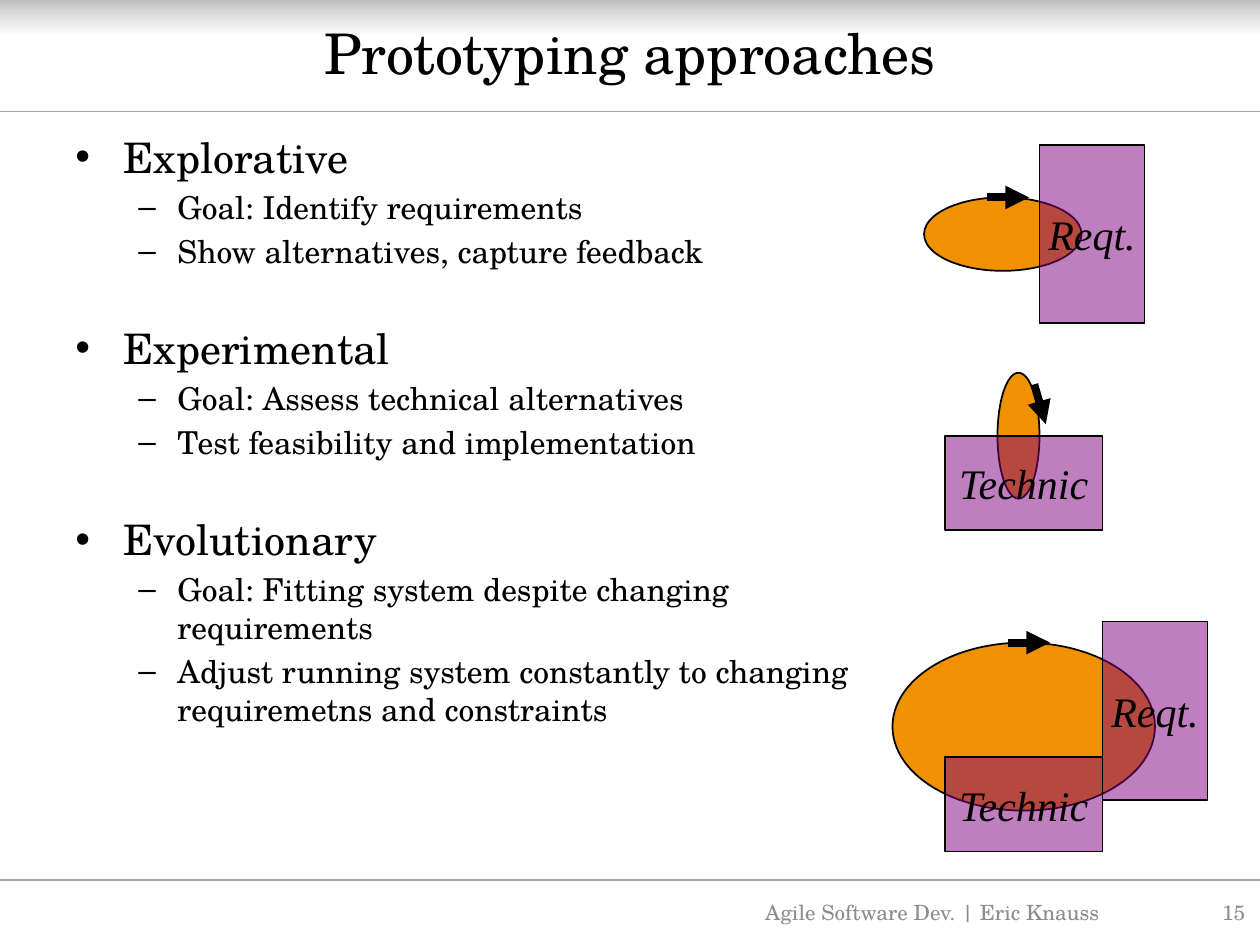
from copy import deepcopy
from dataclasses import dataclass
from typing import Optional

from lxml.etree import SubElement
from pptx import Presentation
from pptx.dml.color import RGBColor
from pptx.enum.shapes import MSO_CONNECTOR, MSO_SHAPE
from pptx.enum.text import MSO_ANCHOR, PP_ALIGN
from pptx.oxml.ns import qn
from pptx.util import Inches, Pt

HUES = {
    "ink": "000000", "grey": "8C8C8C", "rule": "A6A6A6",
    "orange": "EF9100", "purple": "800080",
    "dark": "BFBFBF", "mid": "D9D9D9", "white": "FFFFFF",
}
SERIF = "TeX Gyre Schola"
TIMES = "Times New Roman"
COLS, ROWS = 120, 90
WIDE, HIGH = Inches(10), Inches(7.5)


@dataclass
class Box:
    x: float
    y: float
    w: float
    h: float
    label: Optional[str] = None


@dataclass
class Line:
    x: float
    y: float
    to_x: float
    to_y: float


@dataclass
class Sketch:
    oval: Box
    blocks: list[Box]
    arrow: Line


@dataclass
class Topic:
    name: str
    points: list[str]


TOPICS = [
    Topic("Explorative", ["Goal: Identify requirements",
                          "Show alternatives, capture feedback"]),
    Topic("Experimental", ["Goal: Assess technical alternatives",
                           "Test feasibility and implementation"]),
    Topic("Evolutionary", [
        "Goal: Fitting system despite changing requirements",
        "Adjust running system constantly to changing requiremetns and constraints"]),
]
SKETCHES = [
    Sketch(Box(88, 18.8, 15, 7), [Box(99, 13.8, 10, 17, "Reqt.")],
           Line(94, 18.8, 98, 18.8)),
    Sketch(Box(95, 35.5, 4, 12), [Box(90, 41.5, 15, 9, "Technic")],
           Line(98.5, 36.6, 99.6, 40.4)),
    Sketch(Box(85, 61.2, 25, 16),
           [Box(90, 72.1, 15, 9, "Technic"), Box(105, 59.2, 10, 17, "Reqt.")],
           Line(96, 61.2, 100, 61.2)),
]


def hue(name: str) -> RGBColor:
    return RGBColor.from_string(HUES[name])


def across(cols: float) -> int:
    return round(WIDE * cols / COLS)


def down(rows: float) -> int:
    return round(HIGH * rows / ROWS)


def frame(box: Box) -> tuple:
    return across(box.x), down(box.y), across(box.w), down(box.h)


def write(para, text: str, *, size: float, font: str = SERIF, tint: str = "ink",
          slant: bool = False, align=PP_ALIGN.LEFT, before: float = 0) -> None:
    para.alignment = align
    para.space_before = Pt(before)
    run = para.add_run()
    run.text = text
    run.font.size = Pt(size)
    run.font.name = font
    run.font.italic = slant
    run.font.color.rgb = hue(tint)


def mark(para, sign: str, left: float, hang: float) -> None:
    props = para._p.get_or_add_pPr()
    props.set("marL", str(Inches(left)))
    props.set("indent", str(-Inches(hang)))
    SubElement(props, qn("a:buFont")).set("typeface", "Arial")
    SubElement(props, qn("a:buChar")).set("char", sign)


def shape(slide, kind, box: Box, fill: str, clear: int = 0):
    item = slide.shapes.add_shape(kind, *frame(box))
    item.shadow.inherit = False
    item.fill.solid()
    item.fill.fore_color.rgb = hue(fill)
    item.line.color.rgb = hue("ink")
    item.line.width = Pt(1)
    if clear:
        tone = item.fill._xPr.find(qn("a:solidFill"))[0]
        SubElement(tone, qn("a:alpha")).set("val", str((100 - clear) * 1000))
    if box.label:
        body = item.text_frame
        body.word_wrap = False
        body.vertical_anchor = MSO_ANCHOR.MIDDLE
        write(body.paragraphs[0], box.label, size=24, font=TIMES, slant=True,
              align=PP_ALIGN.CENTER)
    return item


def stroke(slide, line: Line, tint: str, width: float, head: bool = False) -> None:
    item = slide.shapes.add_connector(
        MSO_CONNECTOR.STRAIGHT, across(line.x), down(line.y),
        across(line.to_x), down(line.to_y))
    item.line.color.rgb = hue(tint)
    item.line.width = Pt(width)
    if head:
        SubElement(item.line._get_or_add_ln(), qn("a:tailEnd")).set("type", "triangle")
    SubElement(item._element.spPr, qn("a:effectLst"))


def band(slide) -> None:
    item = shape(slide, MSO_SHAPE.RECTANGLE, Box(0, 0, COLS, 3.5), "white")
    item.line.fill.background()
    item.fill.gradient()
    item.fill.gradient_angle = 270
    stops = item.fill._xPr.find(qn("a:gradFill")).find(qn("a:gsLst"))
    stops.insert(1, deepcopy(stops[0]))
    for stop, (spot, tint) in zip(item.fill.gradient_stops,
                                  [(0, "dark"), (0.34, "mid"), (1, "white")]):
        stop.position = spot
        stop.color.rgb = hue(tint)


def field(slide, box: Box, anchor=MSO_ANCHOR.TOP):
    body = slide.shapes.add_textbox(*frame(box)).text_frame
    body.word_wrap = True
    body.vertical_anchor = anchor
    return body


def outline(slide) -> None:
    body = field(slide, Box(6, 11.9, 79.6, 70))
    for num, topic in enumerate(TOPICS):
        para = body.add_paragraph() if num else body.paragraphs[0]
        mark(para, "•", 0.38, 0.38)
        write(para, topic.name, size=24, before=30 if num else 0)
        for point in topic.points:
            para = body.add_paragraph()
            para.level = 1
            mark(para, "–", 0.81, 0.31)
            write(para, point, size=18, before=3.6)


def sketch(slide, item: Sketch) -> None:
    shape(slide, MSO_SHAPE.OVAL, item.oval, "orange")
    for block in item.blocks:
        shape(slide, MSO_SHAPE.RECTANGLE, block, "purple", clear=50)
    stroke(slide, item.arrow, "ink", 4.5, head=True)


def main() -> None:
    deck = Presentation()
    deck.slide_width, deck.slide_height = WIDE, HIGH
    slide = deck.slides.add_slide(deck.slide_layouts[5])
    band(slide)
    for row in (83.8, 10.6):
        stroke(slide, Line(0, row, COLS, row), "rule", 0.75)
    outline(slide)
    for item in SKETCHES:
        sketch(slide, item)

    title = slide.shapes.title
    title.left, title.top, title.width, title.height = frame(Box(6, 0.4, 108, 9.2))
    title.text_frame.vertical_anchor = MSO_ANCHOR.MIDDLE
    write(title.text_frame.paragraphs[0], "Prototyping approaches", size=32,
          align=PP_ALIGN.CENTER)
    slide.shapes._spTree.append(title._element)

    for box, text, align in (
            (Box(69.8, 84.5, 38, 4.8), "Agile Software Dev. | Eric Knauss", PP_ALIGN.CENTER),
            (Box(108.8, 84.5, 11, 4.8), "15", PP_ALIGN.RIGHT)):
        body = field(slide, box, MSO_ANCHOR.MIDDLE)
        write(body.paragraphs[0], text, size=12, tint="grey", align=align)
    deck.save("out.pptx")


if __name__ == "__main__":
    main()
